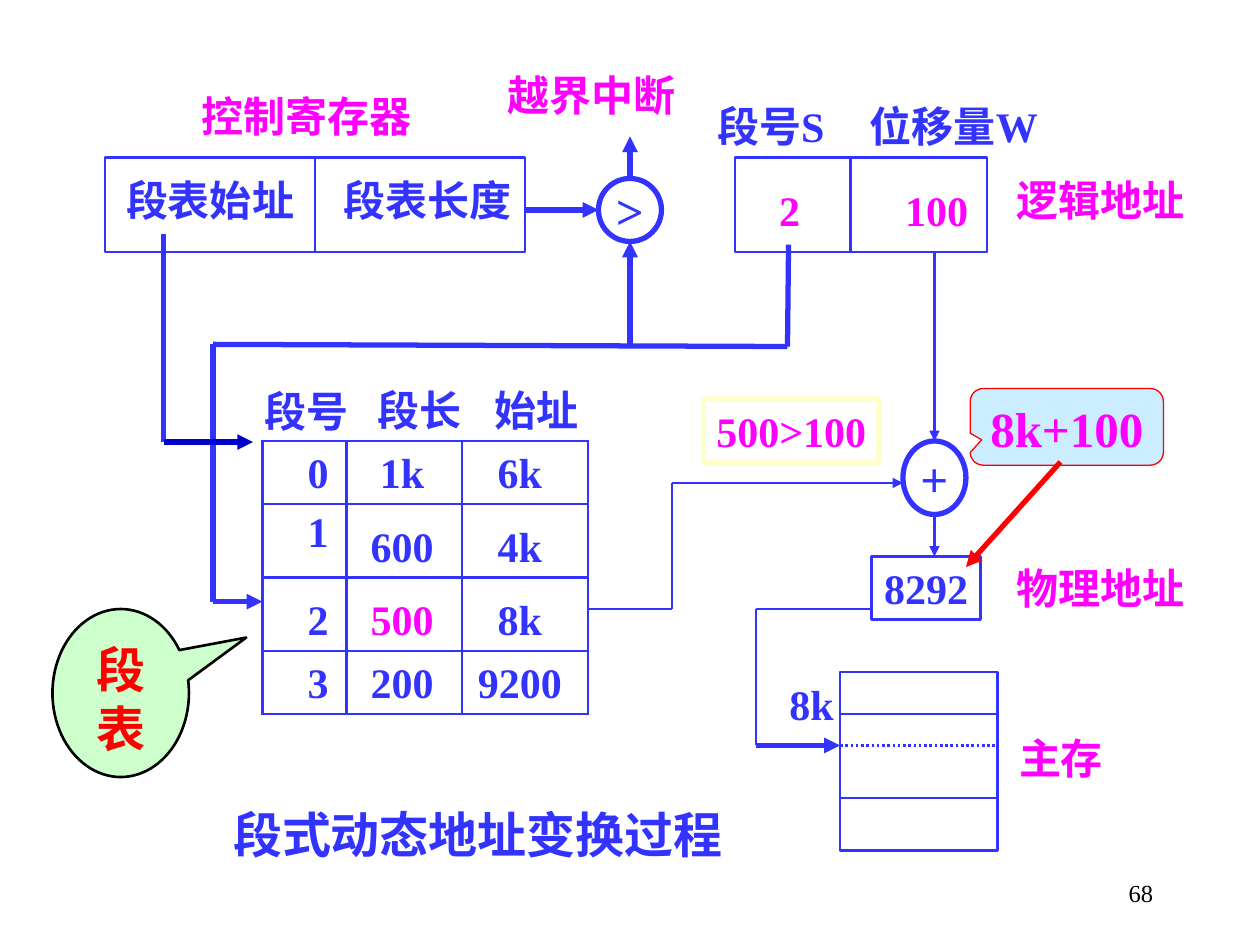
from dataclasses import dataclass
from typing import NamedTuple

from lxml import etree
from pptx import Presentation
from pptx import util as u
from pptx.dml.color import RGBColor
from pptx.enum import dml, shapes, text
from pptx.oxml import ns


@dataclass(frozen=True)
class Theme:
    blue: str = "3333FF"
    navy: str = "0000CC"
    magenta: str = "FF00FF"
    red: str = "FF0000"
    black: str = "000000"
    white: str = "FFFFFF"
    cream: str = "FFFFCC"
    sky: str = "CCECFF"
    mint: str = "CCFFCC"
    font: str = "Times New Roman"
    body: int = 24
    large: int = 28
    small: int = 14
    thin: float = 1.5
    thick: float = 3


T = Theme()
RECT, OVAL = shapes.MSO_SHAPE.RECTANGLE, shapes.MSO_SHAPE.OVAL
ROUND_CALLOUT = shapes.MSO_SHAPE.ROUNDED_RECTANGULAR_CALLOUT
OVAL_CALLOUT = shapes.MSO_SHAPE.OVAL_CALLOUT
TOP, MIDDLE, BOTTOM = text.MSO_ANCHOR.TOP, text.MSO_ANCHOR.MIDDLE, text.MSO_ANCHOR.BOTTOM


class Label(NamedTuple):
    words: str
    col: float
    row: float
    cols: float
    color: str
    wrap: bool = False


class Box(NamedTuple):
    kind: int
    col: float
    row: float
    cols: float
    rows: float
    fill: str | None = None
    line: str = T.blue
    width: float = T.thin
    words: str = ""
    size: int = T.body
    color: str = T.blue
    adjust: tuple = ()
    anchor: int = MIDDLE
    wrap: bool = False


class Route(NamedTuple):
    points: list
    width: float = T.thin
    arrow: bool = False
    color: str = T.blue
    dotted: bool = False


def grid(n: float) -> int:
    """The slide is a grid of 120 columns by 90 rows, each 1/12 inch."""
    return u.Inches(n / 12)


def rgb(color: str) -> RGBColor:
    return RGBColor.from_string(color)


def write(tf, words: str, size: float, color: str, bold=True, align=text.PP_ALIGN.CENTER) -> None:
    tf.text = words
    p = tf.paragraphs[0]
    p.alignment = align
    f = p.runs[0].font
    f.name, f.size, f.bold = T.font, u.Pt(size), bold
    f.color.rgb = rgb(color)


def draw_box(s, b: Box) -> None:
    sp = s.shapes.add_shape(b.kind, *map(grid, (b.col, b.row, b.cols, b.rows)))
    sp.shadow.inherit = False
    for i, value in enumerate(b.adjust):
        sp.adjustments[i] = value
    if b.fill:
        sp.fill.solid()
        sp.fill.fore_color.rgb = rgb(b.fill)
    else:
        sp.fill.background()
    sp.line.color.rgb = rgb(b.line)
    sp.line.width = u.Pt(b.width)
    if b.words:
        tf = sp.text_frame
        tf.word_wrap = b.wrap
        tf.vertical_anchor = b.anchor
        write(tf, b.words, b.size, b.color)


def draw_label(s, label: Label) -> None:
    tb = s.shapes.add_textbox(grid(label.col), grid(label.row), grid(label.cols), grid(6))
    tb.text_frame.word_wrap = label.wrap
    write(tb.text_frame, label.words, T.body, label.color)


def draw_route(s, route: Route) -> None:
    legs = list(zip(route.points, route.points[1:]))
    for i, (start, end) in enumerate(legs, 1):
        c = s.shapes.add_connector(shapes.MSO_CONNECTOR.STRAIGHT, *map(grid, start + end))
        c.line.color.rgb = rgb(route.color)
        c.line.width = u.Pt(route.width)
        if route.dotted:
            c.line.dash_style = dml.MSO_LINE.ROUND_DOT
        sp_pr = c._element.spPr
        if route.arrow and i == len(legs):
            etree.SubElement(sp_pr.find(ns.qn("a:ln")), ns.qn("a:tailEnd"), type="triangle")
        etree.SubElement(sp_pr, ns.qn("a:effectLst"))


def border_cell(cell) -> None:
    tc_pr = cell._tc.get_or_add_tcPr()
    for i, side in enumerate(("lnL", "lnR", "lnT", "lnB")):
        ln = etree.Element(ns.qn(f"a:{side}"), w=str(int(u.Pt(T.thin))))
        fill = etree.SubElement(ln, ns.qn("a:solidFill"))
        etree.SubElement(fill, ns.qn("a:srgbClr"), val=T.blue)
        tc_pr.insert(i, ln)


def draw_segment_table(s) -> None:
    rows = [("0", "1k", "6k"), ("1", "600", "4k"), ("2", "500", "8k"), ("3", "200", "9200")]
    widths, heights = (8, 11, 12), (6, 7, 7, 6)
    frame = s.shapes.add_table(4, 3, *map(grid, (25, 42, sum(widths), sum(heights))))
    table = frame.table
    table.first_row = table.horz_banding = False
    for column, width in zip(table.columns, widths):
        column.width = grid(width)
    for i, (row, height) in enumerate(zip(table.rows, heights)):
        row.height = grid(height)
        for j, cell in enumerate(row.cells):
            cell.fill.solid()
            cell.fill.fore_color.rgb = rgb(T.white)
            cell.margin_left = grid((2.6, 0, 0)[j])
            cell.margin_right = grid((0, 0.4, 1)[j])
            cell.vertical_anchor = TOP if (i, j) == (1, 0) else BOTTOM
            write(cell.text_frame, rows[i][j], T.body, T.magenta if rows[i][j] == "500" else T.blue)
            border_cell(cell)


BOXES = [
    Box(RECT, 10, 15, 40, 9, T.white),  # control register
    Box(OVAL, 57, 17, 6, 6, T.white, width=T.thick, words=">", size=T.large),
    Box(RECT, 70, 15, 24, 9, T.white),  # logical address
    Box(OVAL, 86, 42, 6, 7, T.white, width=T.thick, words="+", size=T.large),
    Box(RECT, 83, 53, 10.4, 6, words="8292"),
    Box(RECT, 80, 64, 15, 17, T.white),  # main memory
    Box(RECT, 67, 38, 16.7, 6, line=T.cream, width=T.thick, words="500>100", color=T.magenta),
    Box(ROUND_CALLOUT, 92.4, 37, 18.4, 7.3, T.sky, T.red, 0.75, "8k+100", T.large, T.magenta,
        (-0.44, 0.17, 0.17), TOP),
    Box(OVAL_CALLOUT, 5, 58, 13, 16, T.mint, T.black, T.thin, "段表", T.large, T.red,
        (0.92, -0.33), TOP, True),
]

ROUTES = [
    # Dividers of the registers and of main memory
    *(Route([(x, 15), (x, 24)]) for x in (30, 81)),
    *(Route([(80, y), (95, y)], dotted=y == 71) for y in (68, 71, 76)),
    # Length check and overflow interrupt
    Route([(50, 20), (57, 20)], T.thick, True),
    Route([(60, 33), (60, 23)], T.thick, True),
    Route([(60, 17), (60, 13)], T.thick, True),
    # Segment number and table start lead into the segment table
    Route([(75.1, 23.3), (75, 33), (20.3, 32.8), (20.3, 57.3), (25, 57.3)], T.thick, True),
    Route([(15.6, 22.3), (15.6, 42.1)], T.thick),
    Route([(15.6, 42.1), (24.1, 42.1)], T.thick, True, T.navy),
    # Base plus offset gives the physical address
    Route([(89, 24), (89, 42)], arrow=True),
    Route([(56, 58), (64, 58), (64, 46), (86, 46)], arrow=True),
    Route([(89, 49), (89, 53)], arrow=True),
    Route([(101, 44), (92, 54)], T.thick, True, T.red),
    # Physical address points into main memory
    Route([(83, 58), (72, 58), (72, 71)]),
    Route([(72, 71), (80, 71)], T.thick, True),
]

LABELS = [
    Label("控制寄存器", 17.2, 8, 24, T.magenta), Label("越界中断", 45.8, 6, 21, T.magenta),
    Label("段表始址", 10, 16, 20, T.blue), Label("段表长度", 31, 16, 19.5, T.blue),
    Label("段号S", 67, 9, 12.8, T.blue, True), Label("位移量W", 81, 9, 19.7, T.blue),
    Label("2", 73, 17, 4.4, T.magenta), Label("100", 85, 17, 8.4, T.magenta),
    Label("逻辑地址", 94, 16, 21.7, T.magenta), Label("物理地址", 94, 53, 21.7, T.magenta),
    Label("段号", 24, 36.1, 10.4, T.blue), Label("段长", 34, 36, 11.9, T.blue),
    Label("始址", 45, 36, 12.2, T.blue), Label("8k", 74, 64, 6.6, T.blue),
    Label("主存", 94.8, 69.2, 12.5, T.magenta),
]


def main() -> None:
    prs = Presentation()
    prs.slide_width, prs.slide_height = grid(120), grid(90)
    s = prs.slides.add_slide(prs.slide_layouts[5])
    # Title sits below the diagram
    title = s.shapes.title
    title.left, title.top, title.width, title.height = map(grid, (20.4, 76, 50.2, 6.8))
    title.text_frame.word_wrap = False
    title.text_frame.vertical_anchor = TOP
    write(title.text_frame, "段式动态地址变换过程", T.large, T.blue)
    # Diagram
    draw_segment_table(s)
    for draw, items in ((draw_box, BOXES), (draw_route, ROUTES), (draw_label, LABELS)):
        for item in items:
            draw(s, item)
    # Page number
    tb = s.shapes.add_textbox(*map(grid, (86, 82, 25, 6)))
    tb.text_frame.word_wrap = True
    tb.text_frame.vertical_anchor = MIDDLE
    write(tb.text_frame, "68", T.small, T.black, False, text.PP_ALIGN.RIGHT)
    prs.save("out.pptx")


if __name__ == "__main__":
    main()
